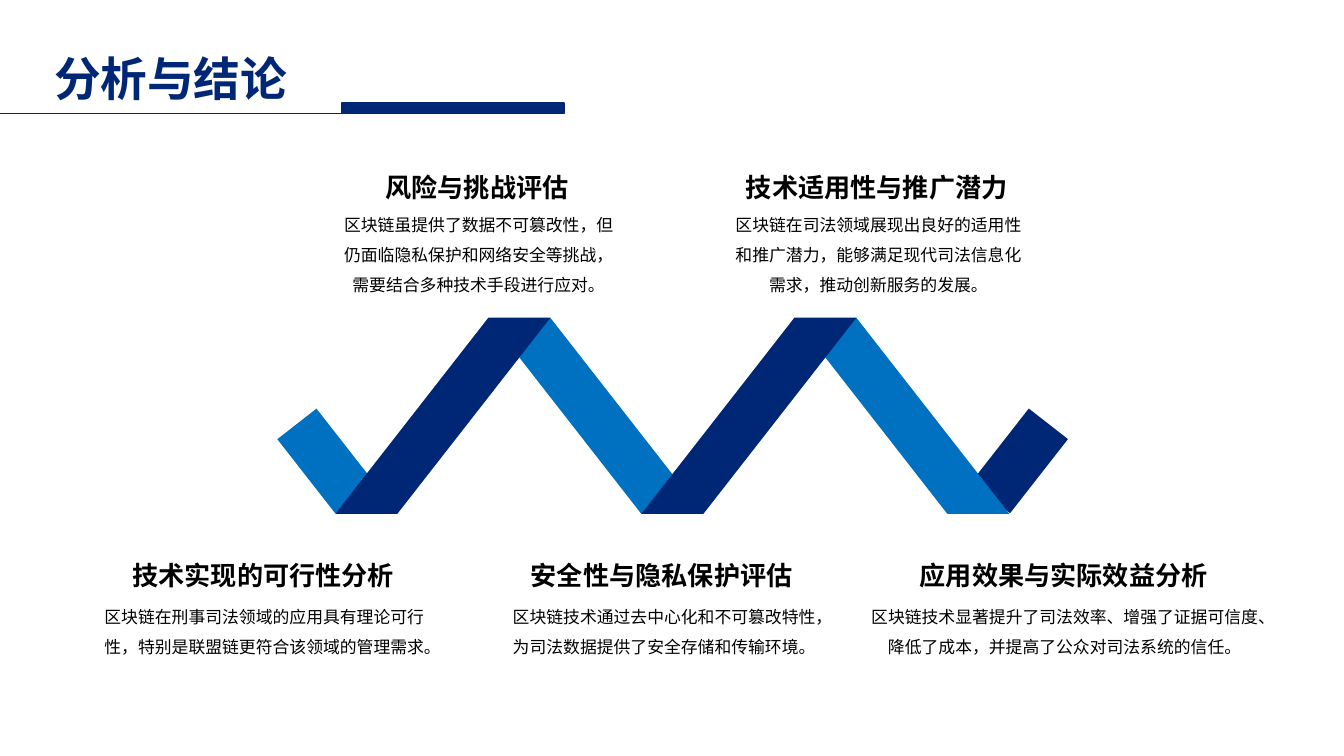
from lxml import etree
from pptx import Presentation
from pptx import util as u
from pptx.dml.color import RGBColor
from pptx.enum import shapes, text
from pptx.oxml.ns import qn

NAVY, BLUE, BLACK = "002776", "0070C0", "000000"
FONT = "League Spartan"
COLUMNS, ROWS = 100, 56.25


def rgb(value):
    return RGBColor.from_string(value)


def write(frame, words, size=9, color=BLACK, bold=False, spacing=1.0, wrap=True):
    frame.word_wrap = wrap
    frame.auto_size = text.MSO_AUTO_SIZE.SHAPE_TO_FIT_TEXT
    frame.vertical_anchor = text.MSO_ANCHOR.TOP
    paragraph = frame.paragraphs[0]
    paragraph.alignment = text.PP_ALIGN.CENTER
    paragraph.line_spacing = spacing
    run = paragraph.add_run()
    run.text = words
    run.font.name, run.font.size, run.font.bold = FONT, u.Pt(size), bold
    run.font.color.rgb = rgb(color)
    etree.SubElement(run.font._element, qn("a:ea")).set("typeface", FONT)


class Board:
    def __init__(self, deck):
        self.slide = deck.slides.add_slide(deck.slide_layouts[5])
        self.column = deck.slide_width / COLUMNS
        self.row = deck.slide_height / ROWS

    def cells(self, left, top, width, height):
        return [u.Emu(round(n * unit)) for n, unit in (
            (left, self.column), (top, self.row), (width, self.column), (height, self.row))]

    def title(self, words, place):
        heading = self.slide.shapes.title
        heading.left, heading.top, heading.width, heading.height = self.cells(*place)
        write(heading.text_frame, words, size=25, color=NAVY, bold=True, wrap=False)

    def label(self, words, place, **style):
        box = self.slide.shapes.add_textbox(*self.cells(*place))
        write(box.text_frame, words, spacing=1.5, **style)

    def block(self, preset, place, color, turn=0, slant=None, flipped=False, outline=None):
        piece = self.slide.shapes.add_shape(preset, *self.cells(*place))
        piece.shadow.inherit = False
        piece.fill.solid()
        piece.fill.fore_color.rgb = rgb(color)
        if outline:
            piece.line.color.rgb = rgb(color)
            piece.line.width = u.Pt(outline)
        else:
            piece.line.fill.background()
        piece.rotation = turn
        if slant is not None:
            piece.adjustments[0] = slant
        if flipped:
            piece._element.spPr.find(qn("a:xfrm")).set("flipV", "1")

    def rule(self, start, end, level, color, weight):
        x1, y, x2, _ = self.cells(start, level, end, 0)
        line = self.slide.shapes.add_connector(shapes.MSO_CONNECTOR.STRAIGHT, x1, y, x2, y)
        line.line.color.rgb = rgb(color)
        line.line.width = u.Pt(weight)
        etree.SubElement(line._element.spPr, qn("a:effectLst"))


def draw_ribbon(board):
    rectangle = shapes.MSO_SHAPE.RECTANGLE
    band = shapes.MSO_SHAPE.PARALLELOGRAM
    top, width, height, step = 23.65, 16, 14.6, 22.77
    board.block(rectangle, (74, 30.8, 3.7, 7), NAVY, turn=38)
    board.block(rectangle, (22.4, 30.8, 3.7, 7), BLUE, turn=322)
    for fold in range(2):
        for left, color, falling in ((36.34, BLUE, True), (24.95, NAVY, False)):
            board.block(band, (left + fold * step, top, width, height), color,
                        slant=0.78, flipped=falling)


UPPER = (11.1, 14.7, 7.6)
LOWER = (40, 43.9, 5.3)
FINDINGS = [
    (LOWER, "技术实现的可行性分析", 7.7, 23.8,
     "区块链在刑事司法领域的应用具有理论可行性，特别是联盟链更符合该领域的管理需求。", 6.5, 26.3),
    (LOWER, "安全性与隐私保护评估", 37.1, 24.3,
     "区块链技术通过去中心化和不可篡改特性，为司法数据提供了安全存储和传输环境。", 36.7, 25.4),
    (LOWER, "应用效果与实际效益分析", 66.7, 24.9,
     "区块链技术显著提升了司法效率、增强了证据可信度、降低了成本，并提高了公众对司法系统的信任。", 63.7, 31),
    (UPPER, "技术适用性与推广潜力", 52.3, 25.9,
     "区块链在司法领域展现出良好的适用性和推广潜力，能够满足现代司法信息化需求，推动创新服务的发展。", 53.3, 24.1),
    (UPPER, "风险与挑战评估", 26.6, 17.8,
     "区块链虽提供了数据不可篡改性，但仍面临隐私保护和网络安全等挑战，需要结合多种技术手段进行应对。", 24.2, 22.8),
]


def main():
    deck = Presentation()
    deck.slide_width, deck.slide_height = u.Pt(720), u.Pt(405)
    board = Board(deck)
    draw_ribbon(board)
    board.block(shapes.MSO_SHAPE.RECTANGLE, (25.45, 7.65, 16.5, 0.8), NAVY, outline=1)
    board.rule(37.8, 0, 8.43, NAVY, 0.75)
    board.title("分析与结论", (2.9, 3.2, 19.6, 5.2))
    for (head_top, body_top, body_height), head, head_left, head_width, body, left, width in FINDINGS:
        board.label(head, (head_left, head_top, head_width, 4.1), size=14, bold=True)
        board.label(body, (left, body_top, width, body_height))
    deck.save("out.pptx")


if __name__ == "__main__":
    main()
